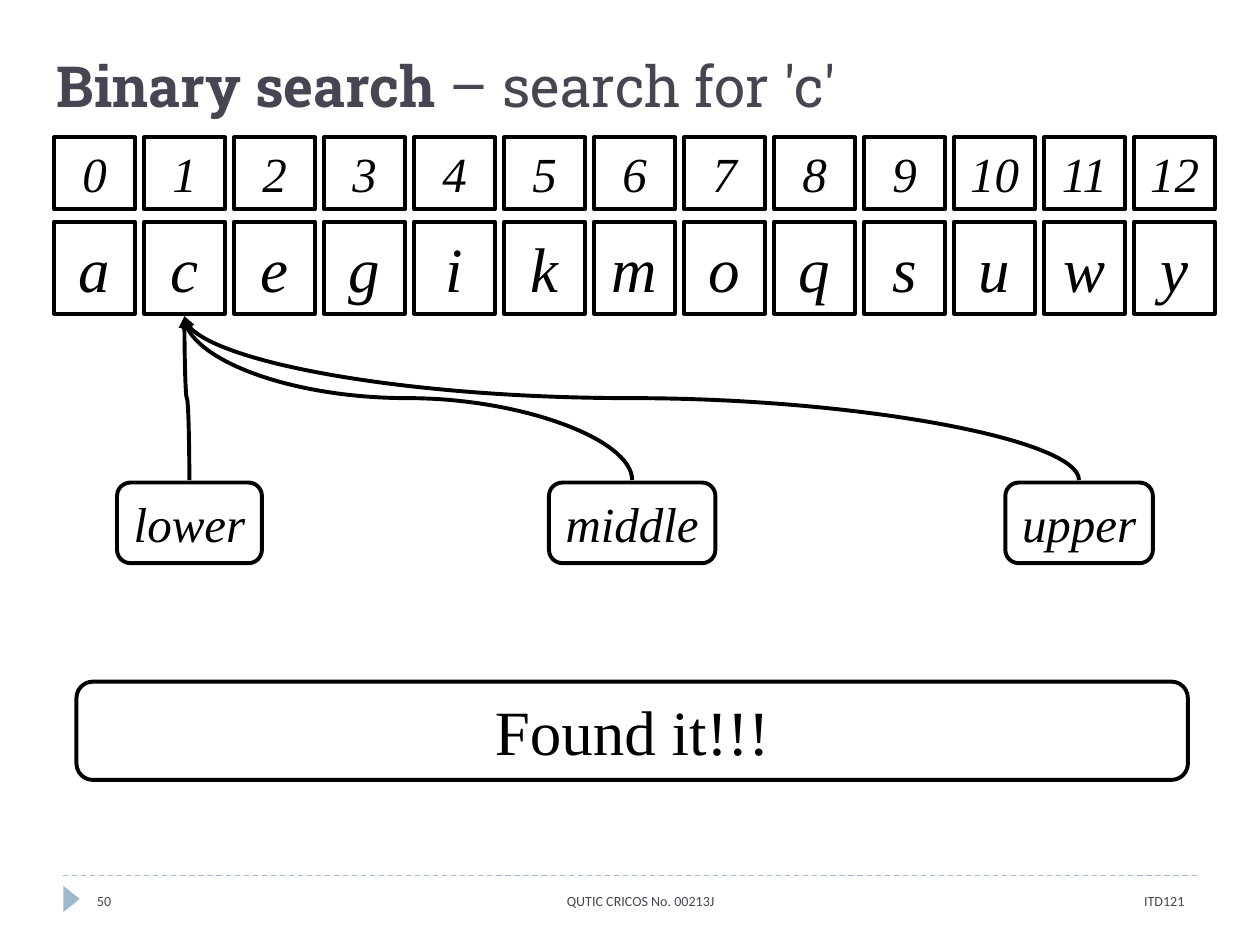
from lxml.etree import SubElement
from pptx import Presentation
from pptx.dml.color import RGBColor
from pptx.enum.dml import MSO_LINE
from pptx.enum.shapes import MSO_CONNECTOR, MSO_SHAPE
from pptx.enum.text import MSO_ANCHOR, MSO_AUTO_SIZE, PP_ALIGN
from pptx.oxml.ns import qn
from pptx.util import Inches, Pt

COLORS = {"ink": "000000", "text": "464653", "accent": "9FB8CD"}
SERIF = "Times New Roman"
WIDTH, HEIGHT = Inches(10), Inches(7.5)
COL, ROW = WIDTH / 14, HEIGHT / 75  # slide grid: 14 columns, 75 rows


def color(name):
    return RGBColor.from_string(COLORS[name])


def place(box):
    """Turn a box in columns and rows into slide lengths."""
    x, y, w, h = box
    return [round(n) for n in (x * COL, y * ROW, w * COL, h * ROW)]


def write(shape, *parts, size=28, font=SERIF, ink="ink", italic=False,
          bold=(), align=PP_ALIGN.CENTER, anchor=MSO_ANCHOR.MIDDLE, wrap=True):
    """Fill a shape with runs; bold holds the indices of the bold ones."""
    frame = shape.text_frame
    frame.auto_size = MSO_AUTO_SIZE.NONE
    frame.word_wrap = wrap
    frame.vertical_anchor = anchor
    para = frame.paragraphs[0]
    para.alignment = align
    for i, part in enumerate(parts):
        run = para.add_run()
        run.text = part
        run.font.name = font
        run.font.size = Pt(size)
        run.font.italic = italic
        run.font.bold = i in bold
        run.font.color.rgb = color(ink)


def frame(slide, box, text, kind=MSO_SHAPE.FLOWCHART_ALTERNATE_PROCESS, **style):
    """Outlined box with centred text."""
    shape = slide.shapes.add_shape(kind, *place(box))
    shape.shadow.inherit = False
    shape.fill.background()
    shape.line.color.rgb = color("ink")
    shape.line.width = Pt(2.25)
    write(shape, text, **style)
    return shape


def connect(slide, kind, ends, ink, width):
    link = slide.shapes.add_connector(kind, *[round(n) for n in ends])
    link.line.color.rgb = color(ink)
    link.line.width = Pt(width)
    SubElement(link.element.spPr, qn("a:effectLst"))
    return link


def curve(slide, label, cell):
    """Curved arrow from the top of a label up to the bottom of a cell."""
    gap = 0.2 * ROW
    x1, y1 = label.left + label.width / 2, label.top - gap
    x2, y2 = cell.left + cell.width / 2, cell.top + cell.height + gap
    mx, my = (x1 + x2) / 2, (y1 + y2) / 2
    dx, dy = (x1 - x2) / 2, (y1 - y2) / 2
    # Lay the curve on its side, then turn it a quarter so it leaves upwards
    link = connect(slide, MSO_CONNECTOR.CURVE,
                   (mx + dy, my - dx, mx - dy, my + dx), "ink", 2.25)
    link.element.spPr.find(qn("a:xfrm")).set("rot", "5400000")
    SubElement(link.line._get_or_add_ln(), qn("a:tailEnd"), type="triangle")


def title(slide, box):
    head = slide.shapes.title
    head.left, head.top, head.width, head.height = place(box)
    write(head, "Binary search ", "– search for 'c'", size=32.4,
          font="Roboto Slab", ink="text", bold=(0,), align=PP_ALIGN.LEFT,
          anchor=MSO_ANCHOR.BOTTOM)


def cells(slide, box, items, size):
    """One cell per column; returns the cells."""
    x, y, w, h = box
    step = w / len(items)
    return [frame(slide, (x + i * step, y, 0.9 * step, h), item,
                  MSO_SHAPE.RECTANGLE, size=size, italic=True)
            for i, item in enumerate(items)]


def marks(slide, box, cell):
    """Named markers, all pointing at one cell."""
    x, y, _, h = box
    for name, shift, wide in (("lower", 0, 1.61), ("middle", 4.8, 1.85),
                              ("upper", 9.87, 1.64)):
        label = frame(slide, (x + shift, y, wide, h), name,
                      italic=True, wrap=False)
        curve(slide, label, cell)


def footer(slide, box):
    x, y, w, h = box
    # Dashed rule
    left, top, wide, _ = place(box)
    rule = connect(slide, MSO_CONNECTOR.STRAIGHT,
                   (left, top, left + wide, top), "accent", 0.75)
    rule.line.dash_style = MSO_LINE.DASH
    # Page marker
    mark = slide.shapes.add_shape(MSO_SHAPE.ISOSCELES_TRIANGLE,
                                  *place((x - 0.05, y + 1.2, 0.29, 1.3)))
    mark.rotation = 90
    mark.shadow.inherit = False
    mark.fill.solid()
    mark.fill.fore_color.rgb = color("accent")
    mark.line.fill.background()
    # Number, owner and course
    for text, shift, wide, align in (
            ("50", 0.24, 3.04, PP_ALIGN.LEFT),
            ("QUTIC CRICOS No. 00213J", 3.74, 5.36, PP_ALIGN.CENTER),
            ("ITD121", 9.1, w - 9.1, PP_ALIGN.RIGHT)):
        note = slide.shapes.add_textbox(*place((x + shift, y, wide, h)))
        write(note, text, size=8, font="Calibri", ink="text", align=align)


def main():
    deck = Presentation()
    deck.slide_width, deck.slide_height = WIDTH, HEIGHT
    slide = deck.slides.add_slide(deck.slide_layouts[5])
    title(slide, (0.49, 3.6, 12.6, 6.3))
    letters = cells(slide, (0.6, 17.6, 13, 7.3), "acegikmoqsuwy", 36)
    cells(slide, (0.6, 10.9, 13, 5.7), [str(n) for n in range(13)], 28)
    marks(slide, (1.3, 38.3, 11.51, 6.4), letters[1])
    frame(slide, (0.85, 54.1, 12.35, 7.8), "Found it!!!", size=36)
    footer(slide, (0.7, 69.5, 12.6, 4))
    deck.save("out.pptx")


if __name__ == "__main__":
    main()
